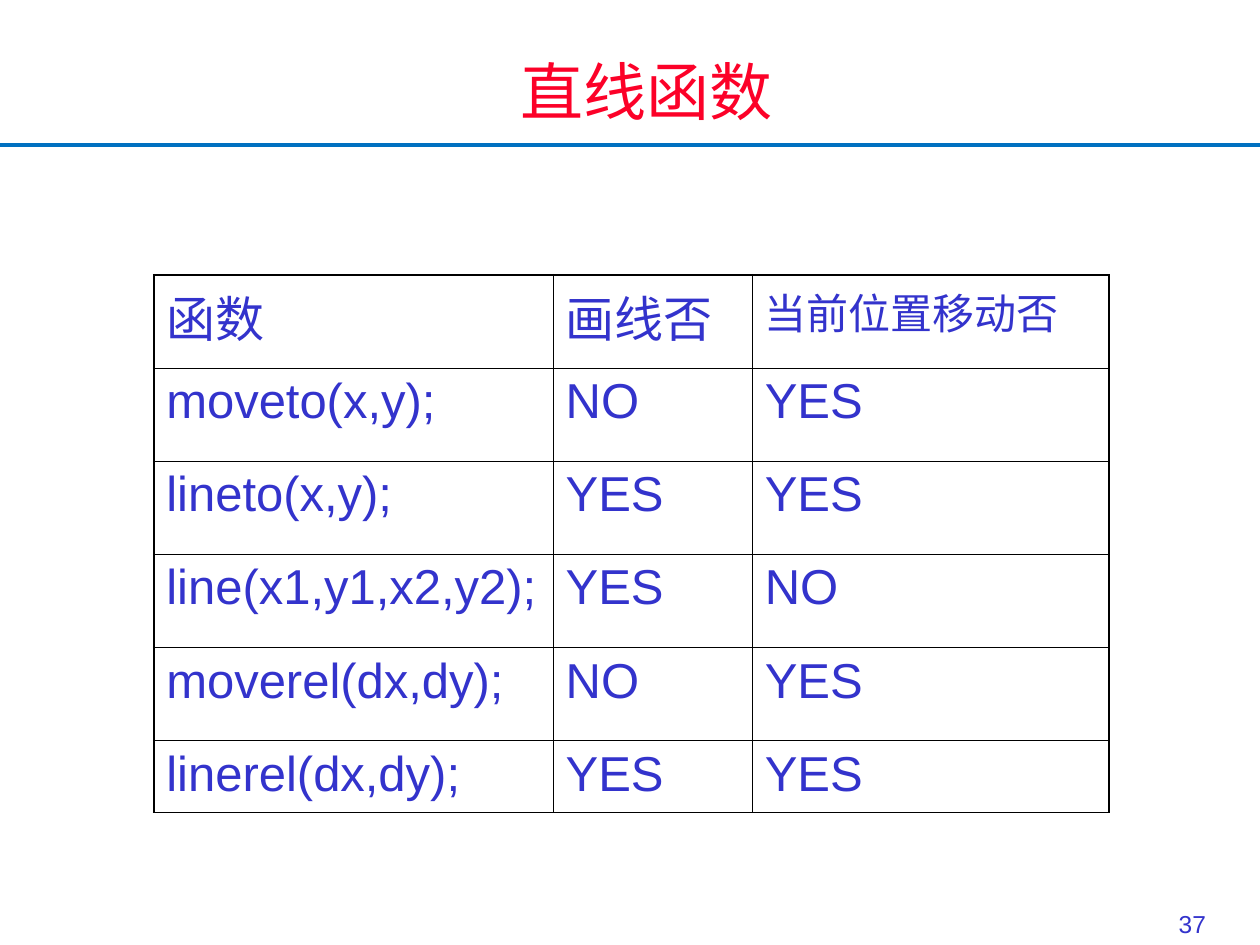
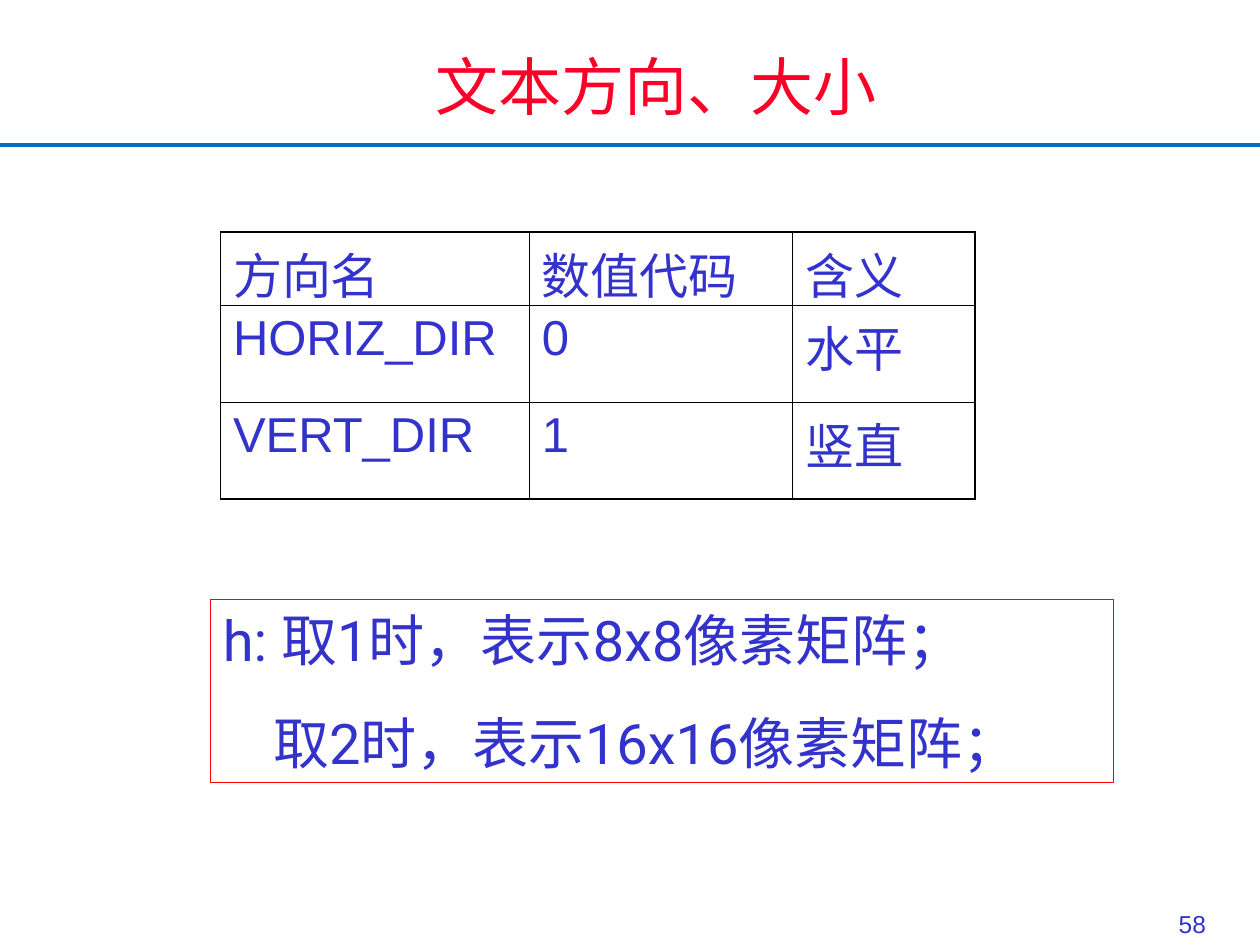
from lxml.etree import SubElement
from pptx import Presentation
from pptx.dml.color import RGBColor
from pptx.enum.shapes import MSO_CONNECTOR, MSO_SHAPE
from pptx.enum.text import MSO_ANCHOR, MSO_AUTO_SIZE, PP_ALIGN
from pptx.oxml.ns import qn
from pptx.util import Inches, Pt

BLUE = RGBColor(0x33, 0x33, 0xCC)
TITLE_RED = RGBColor(0xFC, 0x01, 0x28)
FRAME_RED = RGBColor(0xFF, 0x00, 0x00)
RULE_BLUE = RGBColor(0x00, 0x70, 0xC0)
BLACK = RGBColor(0x00, 0x00, 0x00)
WHITE = RGBColor(0xFF, 0xFF, 0xFF)

LATIN, HAN, NOTE_FONT = "Arial", "Noto Sans CJK SC", "Roboto"
COLUMNS, ROWS = 100, 75
UNIT = Inches(10) // COLUMNS
OUTER, INNER = Pt(1.08), Pt(0.45)
TITLE_ONLY = 5


def grid(*lengths):
    """Turn grid units into slide lengths."""
    return [round(length * UNIT) for length in lengths]


def style(para, size, color=BLUE, font=LATIN, align=PP_ALIGN.LEFT):
    para.alignment = align
    para.font.size = Pt(size)
    para.font.name = font
    para.font.color.rgb = color
    defaults = para._p.pPr.find(qn("a:defRPr"))
    SubElement(defaults, qn("a:ea"), typeface=HAN)


def set_borders(cell, widths):
    """Draw the left, right, top and bottom borders of a cell."""
    properties = cell._tc.get_or_add_tcPr()
    for index, (side, width) in enumerate(zip("LRTB", widths)):
        line = SubElement(properties, qn(f"a:ln{side}"), w=str(width))
        fill = SubElement(line, qn("a:solidFill"))
        SubElement(fill, qn("a:srgbClr"), val=str(BLACK))
        properties.insert(index, line)


def add_page(deck, title, title_box, number):
    page = deck.slides.add_slide(deck.slide_layouts[TITLE_ONLY])
    add_rule(page)
    add_number(page, number)
    fill_title(page.shapes.title, title, title_box)
    return page


def add_rule(page):
    left, top, right = grid(0, 11.5, COLUMNS)
    rule = page.shapes.add_connector(MSO_CONNECTOR.STRAIGHT, left, top, right, top)
    rule.line.color.rgb = RULE_BLUE
    rule.line.width = Pt(2)
    SubElement(rule._element.spPr, qn("a:effectLst"))


def add_number(page, number):
    box = page.shapes.add_textbox(*grid(91.4, ROWS - 5, 5.3, 5))
    frame = box.text_frame
    frame.word_wrap = True
    frame.vertical_anchor = MSO_ANCHOR.BOTTOM
    frame.text = str(number)
    style(frame.paragraphs[0], 14, align=PP_ALIGN.RIGHT)


def fill_title(title, text, box):
    title.left, title.top, title.width, title.height = grid(*box)
    title.fill.solid()
    title.fill.fore_color.rgb = WHITE
    frame = title.text_frame
    frame.auto_size = MSO_AUTO_SIZE.NONE
    frame.vertical_anchor = MSO_ANCHOR.TOP
    frame.text = text
    style(frame.paragraphs[0], 36, TITLE_RED, HAN, PP_ALIGN.CENTER)


def add_grid_table(page, left, top, widths, heights, rows, small=()):
    """Add a table with a heavier outer frame; texts in small are set at 24 pt."""
    box = grid(left, top, sum(widths), sum(heights))
    table = page.shapes.add_table(len(heights), len(widths), *box).table
    table.first_row = table.horz_banding = False
    for column, width in zip(table.columns, grid(*widths)):
        column.width = width
    for row, height in zip(table.rows, grid(*heights)):
        row.height = height
    last_row, last_column = len(heights) - 1, len(widths) - 1
    for r, texts in enumerate(rows):
        for c, text in enumerate(texts):
            cell = table.cell(r, c)
            cell.text = text
            cell.fill.background()
            style(cell.text_frame.paragraphs[0], 24 if text in small else 28)
            on_frame = (c == 0, c == last_column, r == 0, r == last_row)
            set_borders(cell, [OUTER if edge else INNER for edge in on_frame])


def add_size_note(page, box, lines):
    """Add a red framed note whose second line is indented."""
    note = page.shapes.add_shape(MSO_SHAPE.RECTANGLE, *grid(*box))
    note.shadow.inherit = False
    note.fill.background()
    note.line.color.rgb = FRAME_RED
    note.line.width = Pt(0.75)
    frame = note.text_frame
    frame.word_wrap = True
    frame.vertical_anchor = MSO_ANCHOR.TOP
    frame.text = "\n".join(lines)
    first, second = frame.paragraphs
    second.space_before = Pt(20)
    second._p.get_or_add_pPr().set("marL", str(grid(4)[0]))
    for para in (first, second):
        style(para, 32, font=NOTE_FONT)


def build_line_functions(deck):
    page = add_page(deck, "直线函数", (12.2, 3.7, 78.2, 6.8), 37)
    moved = "当前位置移动否"
    add_grid_table(page, 12.2, 21.8, (31.7, 15.8, 28.3), [7.4] * 5 + [5.7], [
        ("函数", "画线否", moved),
        ("moveto(x,y);", "NO", "YES"),
        ("lineto(x,y);", "YES", "YES"),
        ("line(x1,y1,x2,y2);", "YES", "NO"),
        ("moverel(dx,dy);", "NO", "YES"),
        ("linerel(dx,dy);", "YES", "YES"),
    ], small=(moved,))


def build_text_direction(deck):
    page = add_page(deck, "文本方向、大小", (32.1, 3.3, 39.9, 6.8), 58)
    add_grid_table(page, 17.5, 18.4, (24.5, 20.9, 14.5), (5.8, 7.7, 7.7), [
        ("方向名", "数值代码", "含义"),
        ("HORIZ_DIR", "0", "水平"),
        ("VERT_DIR", "1", "竖直"),
    ])
    add_size_note(page, (16.7, 47.6, 71.7, 14.5), [
        "h: 取1时，表示8x8像素矩阵；",
        "取2时，表示16x16像素矩阵；",
    ])


def main():
    deck = Presentation()
    deck.slide_width, deck.slide_height = grid(COLUMNS, ROWS)
    build_line_functions(deck)
    build_text_direction(deck)
    deck.save("out.pptx")


if __name__ == "__main__":
    main()
